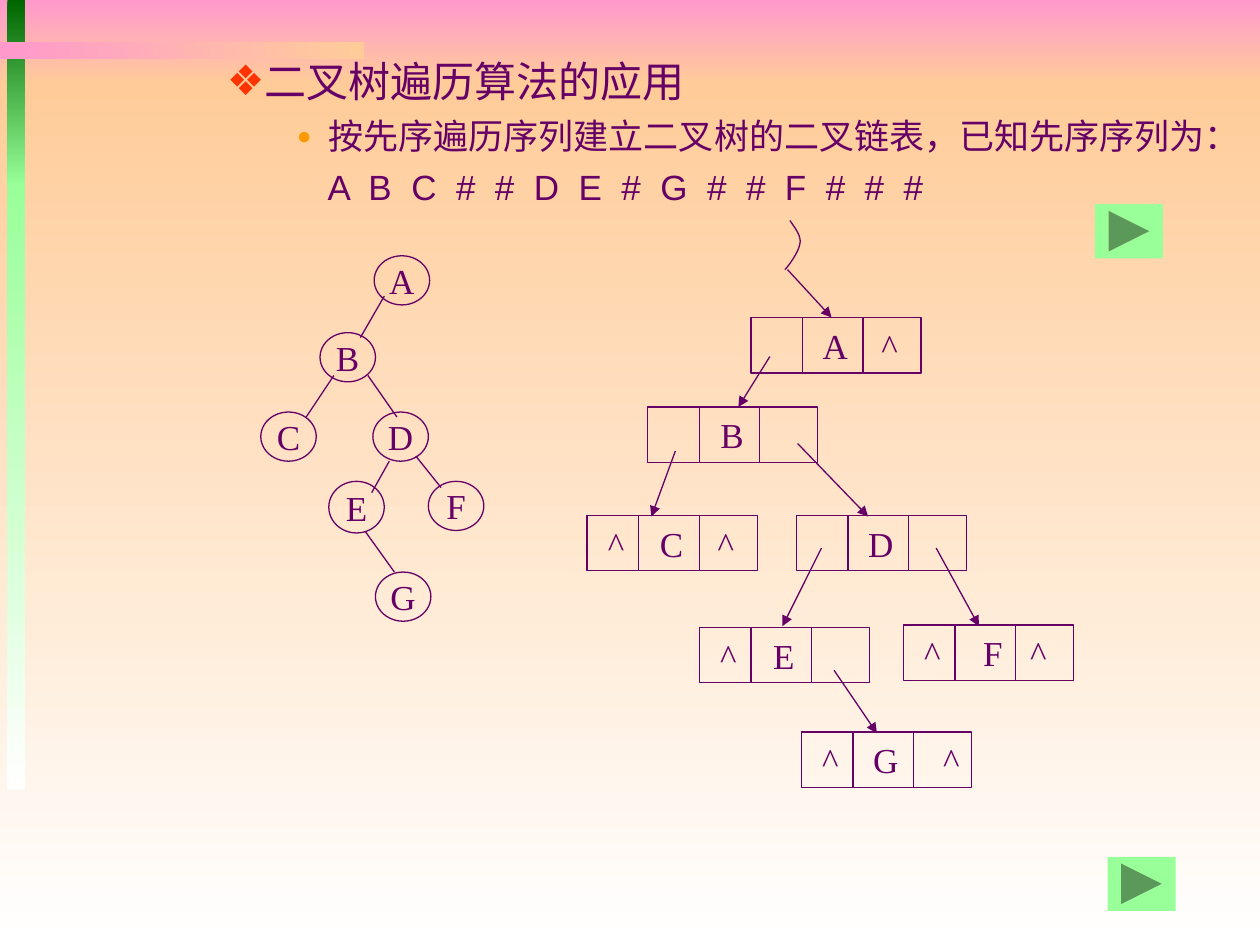
import pptx
import pptx.util
import pptx.dml.color
import pptx.enum.shapes
import pptx.enum.text
import pptx.oxml.ns
import lxml.etree

Inches = pptx.util.Inches
Pt = pptx.util.Pt
RGBColor = pptx.dml.color.RGBColor
MSO_SHAPE = pptx.enum.shapes.MSO_SHAPE
PP_ALIGN = pptx.enum.text.PP_ALIGN
qn = pptx.oxml.ns.qn

PURPLE = RGBColor(0x66, 0x00, 0x66)
PINK = RGBColor(0xFF, 0x99, 0xCC)
PEACH = RGBColor(0xFF, 0xCC, 0x99)
WHITE = RGBColor(0xFF, 0xFF, 0xFF)
DARK_GREEN = RGBColor(0x00, 0x66, 0x00)
LIGHT_GREEN = RGBColor(0x99, 0xFF, 0x99)
RED = RGBColor(0xFF, 0x33, 0x00)
ORANGE = RGBColor(0xFF, 0x99, 0x00)

DOWN, ACROSS = 270, 0
NODE_W, NODE_H = 1.35, 0.44
DIVIDERS = (0.41, 0.89)
CELL_CENTRES = (0.23, 0.67, 1.1)


def add(parent, tag, **attrs):
    return lxml.etree.SubElement(parent, qn(tag), {k: str(v) for k, v in attrs.items()})


class Deck:
    body_font = "Arial"
    node_font = "Times New Roman"
    ink = PURPLE
    width = Pt(0.75)

    def __init__(self):
        self.prs = pptx.Presentation()
        self.prs.slide_width, self.prs.slide_height = Inches(10), Inches(7.5)
        self.s = self.prs.slides.add_slide(self.prs.slide_layouts[1])
        title = self.s.shapes.title
        title._element.getparent().remove(title._element)

    def shape(self, kind, x, y, w, h):
        sp = self.s.shapes.add_shape(kind, Inches(x), Inches(y), Inches(w), Inches(h))
        sp.shadow.inherit = False
        return sp

    def band(self, x, y, w, h, colors, angle):
        sp = self.shape(MSO_SHAPE.RECTANGLE, x, y, w, h)
        sp.line.fill.background()
        sp.fill.gradient()
        sp.fill.gradient_angle = angle
        for stop, color in zip(sp.fill.gradient_stops, colors):
            stop.color.rgb = color

    def outline(self, sp):
        sp.fill.background()
        sp.line.color.rgb = self.ink
        sp.line.width = self.width

    def run(self, p, text, size, font):
        r = p.add_run()
        r.text = text
        r.font.size, r.font.name = Pt(size), font
        r.font.color.rgb = self.ink
        return r

    def body(self, x, y, w, h):
        sp = self.s.placeholders[1]
        self.s.shapes._spTree.append(sp._element)
        sp.left, sp.top, sp.width, sp.height = map(Inches, (x, y, w, h))
        tf = sp.text_frame
        tf.auto_size = pptx.enum.text.MSO_AUTO_SIZE.NONE
        return tf

    def item(self, p, text, level, size, margin, before, bullet=None, color=None,
             percent=100, align=PP_ALIGN.LEFT, spacing=None):
        p.level, p.alignment, p.space_before = level, align, Pt(before)
        pPr = p._p.get_or_add_pPr()
        pPr.set("marL", str(Inches(margin)))
        pPr.set("indent", str(Inches(-0.25 if bullet else 0)))
        if bullet:
            add(add(pPr, "a:buClr"), "a:srgbClr", val=color)
            add(pPr, "a:buSzPct", val=percent * 1000)
            add(pPr, "a:buChar", char=bullet)
        else:
            add(pPr, "a:buNone")
        r = self.run(p, text, size, self.body_font)
        if spacing:
            r._r.get_or_add_rPr().set("spc", str(round(spacing * 100)))

    def line(self, x1, y1, x2, y2, arrow=False):
        c = self.s.shapes.add_connector(pptx.enum.shapes.MSO_CONNECTOR.STRAIGHT,
                                        *map(Inches, (x1, y1, x2, y2)))
        c.line.color.rgb = self.ink
        c.line.width = self.width
        if arrow:
            add(c.line._get_or_add_ln(), "a:tailEnd", type="triangle")
        add(c._element.spPr, "a:effectLst")

    def circle(self, text, x, y, h=0.39):
        sp = self.shape(MSO_SHAPE.OVAL, x, y, 0.44, h)
        self.outline(sp)
        tf = sp.text_frame
        tf.word_wrap = False
        p = tf.paragraphs[0]
        p.alignment = PP_ALIGN.CENTER
        self.run(p, text, 20, self.node_font)

    def node(self, cells, x, y, centres=CELL_CENTRES):
        sp = self.shape(MSO_SHAPE.RECTANGLE, x, y, NODE_W, NODE_H)
        self.outline(sp)
        tf = sp.text_frame
        tf.word_wrap = True
        tf.margin_left = tf.margin_right = 0
        p = tf.paragraphs[0]
        p.alignment = PP_ALIGN.LEFT
        tabs = add(p._p.get_or_add_pPr(), "a:tabLst")
        for centre in centres:
            add(tabs, "a:tab", pos=Inches(centre), algn="ctr")
        self.run(p, "".join("\t" + cell for cell in cells).rstrip(), 20, self.node_font)
        for dx in DIVIDERS:
            self.line(x + dx, y, x + dx, y + NODE_H)

    def curve(self, start, *segments, steps=12):
        points, a = [], start
        for b, c, d in segments:
            for i in range(1, steps + 1):
                t = i / steps
                u = 1 - t
                points.append(tuple(
                    Inches(u**3 * a[k] + 3 * u * u * t * b[k] + 3 * u * t * t * c[k] + t**3 * d[k])
                    for k in (0, 1)))
            a = d
        builder = self.s.shapes.build_freeform(*map(Inches, start))
        builder.add_line_segments(points, close=False)
        sp = builder.convert_to_shape()
        sp.shadow.inherit = False
        self.outline(sp)

    def button(self, x, y):
        sp = self.shape(MSO_SHAPE.ACTION_BUTTON_FORWARD_OR_NEXT, x, y, 0.54, 0.43)
        sp.fill.solid()
        sp.fill.fore_color.rgb = LIGHT_GREEN
        sp.line.fill.background()


def main():
    d = Deck()
    d.band(0, 0, 10, 0.67, (PINK, PEACH), DOWN)
    d.band(0, 0.67, 10, 6.83, (PEACH, WHITE), DOWN)
    d.band(0.06, 0, 0.14, 1.48, (DARK_GREEN, LIGHT_GREEN), DOWN)
    d.band(0.06, 1.46, 0.14, 4.81, (LIGHT_GREEN, WHITE), DOWN)
    d.band(0, 0.33, 2.89, 0.14, (PINK, PEACH), ACROSS)

    tf = d.body(0.7, 0.39, 9.3, 1.26)
    d.item(tf.paragraphs[0], "二叉树遍历算法的应用", 2, 24, 1.25, 0, "❖", RED)
    d.item(tf.add_paragraph(), "按先序遍历序列建立二叉树的二叉链表，已知先序序列为：",
           3, 20, 1.75, 5, "●", ORANGE, 70, PP_ALIGN.CENTER)
    d.item(tf.add_paragraph(), "A B C # # D E # G # # F # # #", 3, 20, 1.8, 5, spacing=2.78)

    for text, x, y in (("A", 2.97, 2.03), ("B", 2.54, 2.64), ("C", 2.07, 3.27),
                       ("D", 2.96, 3.27), ("F", 3.4, 3.82), ("G", 2.98, 4.54)):
        d.circle(text, x, y)
    d.circle("E", 2.61, 3.82, 0.41)
    for edge in ((3.05, 2.35, 2.86, 2.68), (2.65, 2.98, 2.43, 3.31), (2.92, 2.98, 3.15, 3.31),
                 (3.09, 3.66, 2.95, 3.91), (3.3, 3.62, 3.5, 3.87), (2.9, 4.22, 3.13, 4.54)):
        d.line(*edge)

    d.node(("", "A", "^"), 5.96, 2.52)
    d.node(("", "B", ""), 5.14, 3.23)
    d.node(("^", "C", "^"), 4.66, 4.09)
    d.node(("", "D", ""), 6.32, 4.09)
    d.node(("^", "E", ""), 5.55, 4.98)
    d.node(("^", "F", "^"), 7.17, 4.96, (0.23, 0.71, 1.07))
    d.node(("^", "G", "^"), 6.36, 5.81, (0.23, 0.67, 1.19))
    for pointer in ((6.11, 2.83, 5.86, 3.23), (5.36, 3.58, 5.17, 4.1), (6.33, 3.52, 6.89, 4.1),
                    (6.52, 4.35, 6.21, 4.97), (7.43, 4.35, 7.77, 4.97), (6.62, 5.32, 6.96, 5.82),
                    (6.25, 2.14, 6.6, 2.52)):
        d.line(*pointer, arrow=True)
    d.curve((6.27, 1.75), ((6.31, 1.81), (6.36, 1.87), (6.35, 1.93)),
            ((6.34, 2), (6.26, 2.11), (6.23, 2.14)))

    d.button(8.69, 1.62)
    d.button(8.79, 6.8)
    d.prs.save("out.pptx")


if __name__ == "__main__":
    main()
